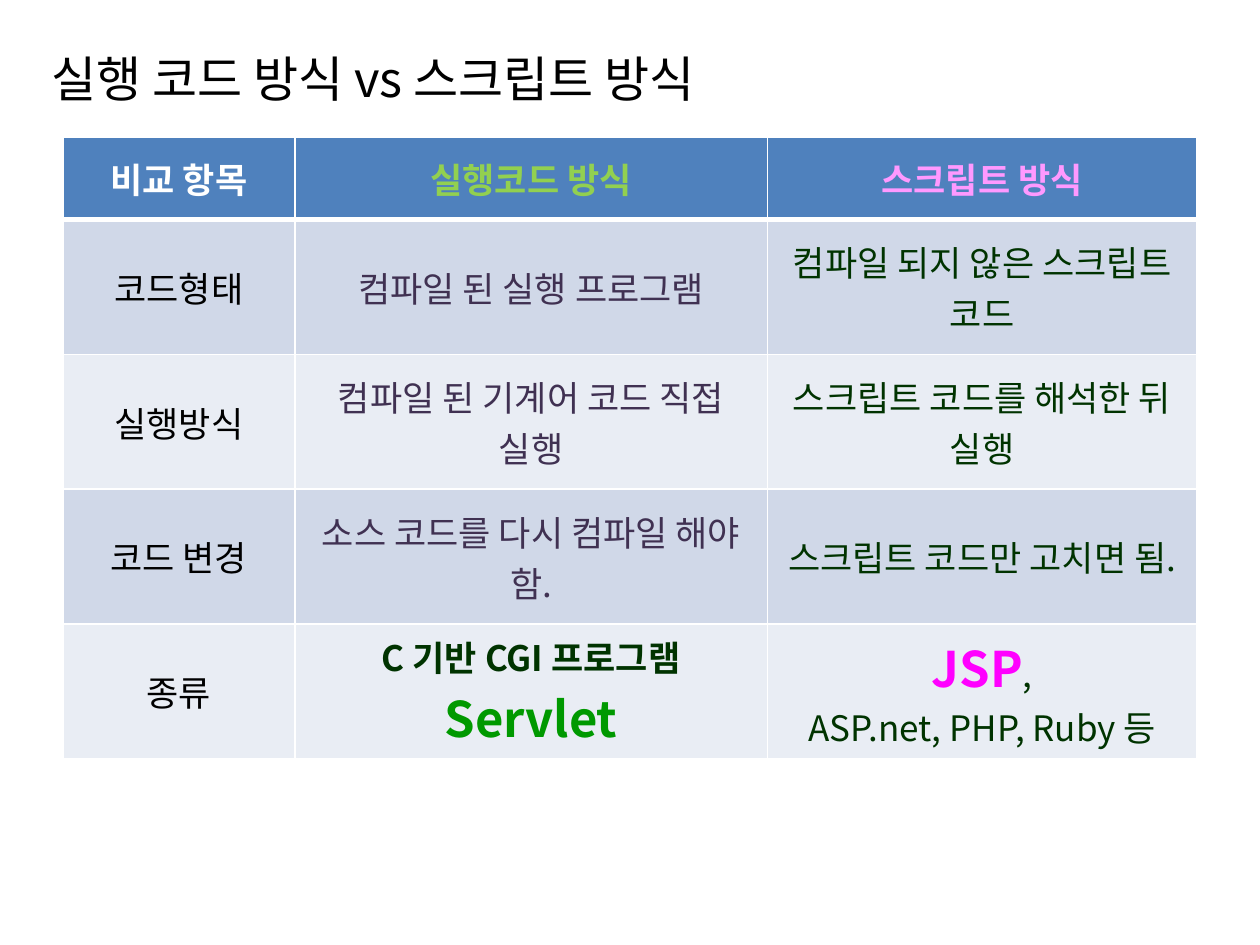
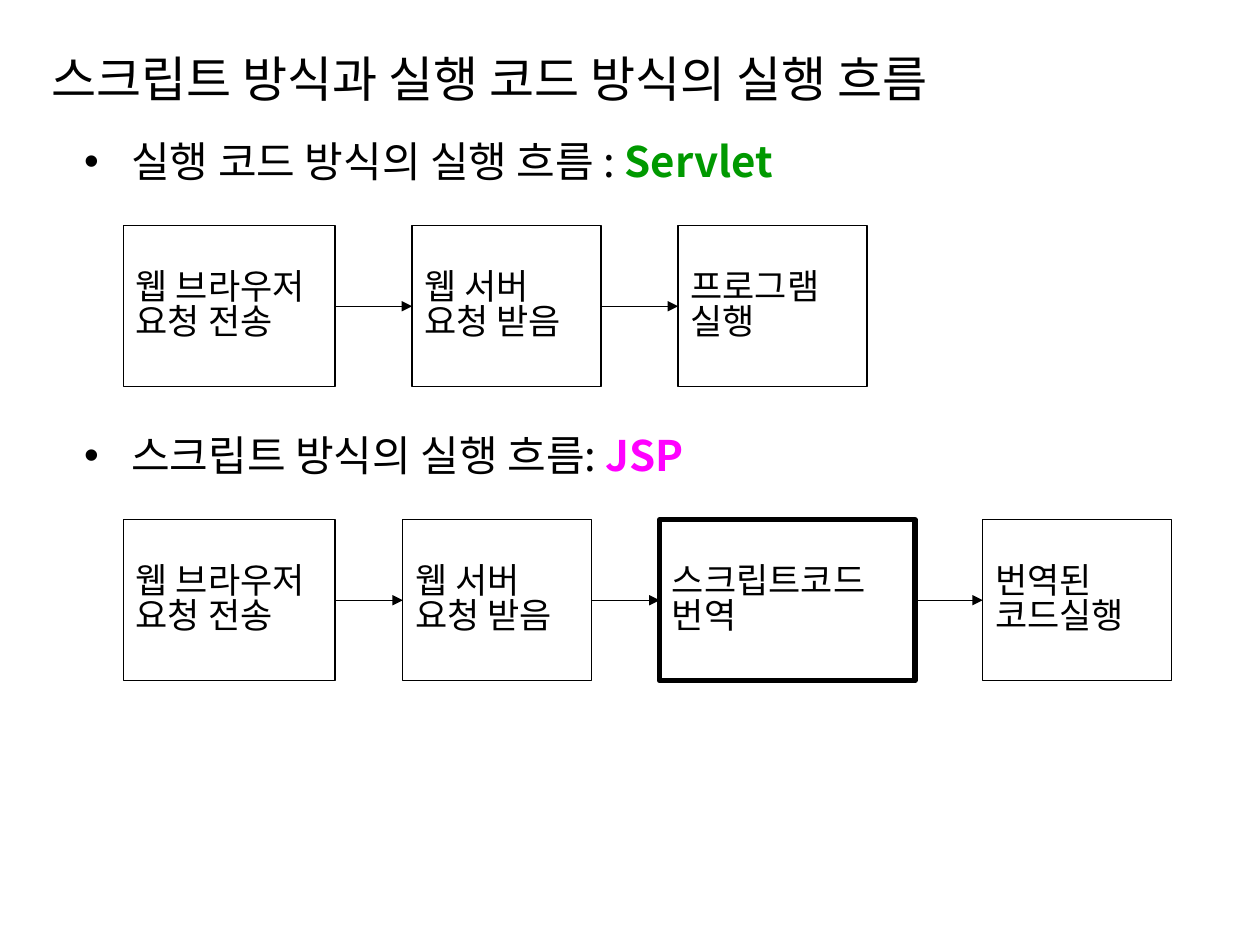
from pptx import Presentation
from pptx.dml.color import RGBColor
from pptx.enum.shapes import MSO_CONNECTOR as Link, MSO_SHAPE as Shape
from pptx.enum.text import MSO_ANCHOR as Anchor, PP_ALIGN as Align
from pptx.oxml.ns import qn
from pptx.util import Pt
from lxml.etree import SubElement as sub

FONT = "Noto Sans CJK KR"
TIGHT = 0.83
HUES = {
    "black": "000000", "white": "FFFFFF", "head": "4F81BD",
    "odd": "D0D8E8", "even": "E9EDF4", "lime": "92D050", "rose": "FF99FF",
    "plum": "403152", "pine": "003300", "green": "009900", "pink": "FF00FF",
}

# A row is three cells, a cell is a list of lines, a line is a list of runs:
# (text, colour, size, bold)
HEAD = [("비교 항목", "white"), ("실행코드 방식", "lime"), ("스크립트 방식", "rose")]
BODY = [
    ("코드형태", "컴파일 된 실행 프로그램", "컴파일 되지 않은 스크립트 코드"),
    ("실행방식", "컴파일 된 기계어 코드 직접 실행", "스크립트 코드를 해석한 뒤 실행"),
    ("코드 변경", "소스 코드를 다시 컴파일 해야 함.", "스크립트 코드만 고치면 됨."),
]
KINDS = [
    [[("종류", "black", 20, False)]],
    [[("C 기반 CGI 프로그램", "pine", 20, True)],
     [("Servlet", "green", 28, True)]],
    [[("JSP", "pink", 28, True), (",", "pine", 20, False)],
     [("ASP.net, PHP, Ruby 등", "pine", 20, False)]],
]

# Each flow: top, gap, heading runs, steps (width, line weight, lines)
ASK = (121, 0.75, ("웹 브라우저", "요청 전송"))
GET = (108, 0.75, ("웹 서버", "요청 받음"))
FLOWS = [
    (79, 44, [("실행 코드 방식의 실행 흐름 : ", "black", 24, False),
              ("Servlet", "green", 24, True)],
     [ASK, GET, (108, 0.75, ("프로그램", "실행"))]),
    (247, 38.7, [("스크립트 방식의 실행 흐름: ", "black", 24, False),
                 ("JSP", "pink", 24, True)],
     [ASK, GET, (146, 3, ("스크립트코드", "번역")),
      (108, 0.75, ("번역된", "코드실행"))]),
]


def hue(name):
    return RGBColor.from_string(HUES[name])


def write(para, text, tone="black", size=20, bold=False):
    run = para.add_run()
    run.text = text
    font = run.font
    font.name, font.size, font.bold = FONT, Pt(size), bold
    font.color.rgb = hue(tone)
    sub(run._r.get_or_add_rPr(), qn("a:ea"), typeface=FONT)


def label(slide, x, y, w, h, anchor):
    frame = slide.shapes.add_textbox(Pt(x), Pt(y), Pt(w), Pt(h)).text_frame
    frame.word_wrap = True
    frame.vertical_anchor = anchor
    return frame.paragraphs[0]


def start(deck, title):
    """Add a blank slide with its title."""
    slide = deck.slides.add_slide(deck.slide_layouts[6])
    write(label(slide, 22.3, 21.6, 680, 46, Anchor.MIDDLE), title, size=28)
    return slide


def edge(cell, sides):
    """Draw white cell borders; sides maps a side letter to its weight."""
    props = cell._tc.get_or_add_tcPr()
    for side, wide in sides.items():
        line = sub(props, qn("a:ln" + side), w=str(Pt(wide)))
        sub(sub(line, qn("a:solidFill")), qn("a:srgbClr"), val=HUES["white"])


def fill(cell, lines, tone, sides):
    edge(cell, sides)
    cell.fill.solid()
    cell.fill.fore_color.rgb = hue(tone)
    cell.margin_left = cell.margin_right = Pt(5)
    cell.margin_top = cell.margin_bottom = 0
    cell.vertical_anchor = Anchor.MIDDLE
    para = cell.text_frame.paragraphs[0]
    para.alignment = Align.CENTER
    for i, line in enumerate(lines):
        if i:
            para.add_line_break()
        for run in line:
            write(para, *run)


def grid(slide, x, y, cols, rows):
    """Place the comparison table."""
    cells = [[[[(text, tone, 20, True)]] for text, tone in HEAD]]
    cells += [[[[(text, tone, 20, False)]]
               for text, tone in zip(row, ("black", "plum", "pine"))]
              for row in BODY]
    cells.append(KINDS)
    table = slide.shapes.add_table(len(rows), len(cols), Pt(x), Pt(y),
                                   Pt(sum(cols)), Pt(sum(rows))).table
    for col, wide in zip(table.columns, cols):
        col.width = Pt(wide)
    for r, tall in enumerate(rows):
        table.rows[r].height = Pt(tall)
        tone = "head" if r == 0 else ("even", "odd")[r % 2]
        sides = {"L": 1, "R": 1, "T": 3 if r == 1 else 1, "B": 1 if r else 3}
        for c, lines in enumerate(cells[r]):
            fill(table.cell(r, c), lines, tone, sides)


def point(slide, x, y, runs):
    """Place one bulleted heading."""
    para = label(slide, x, y, 648, 40, Anchor.TOP)
    para.line_spacing = TIGHT
    props = para._p.get_or_add_pPr()
    props.set("marL", str(Pt(27)))
    props.set("indent", str(Pt(-27)))
    sub(props, qn("a:buFont"), typeface="Arial")
    sub(props, qn("a:buChar"), char="•")
    for run in runs:
        write(para, *run)


def step(slide, x, y, w, h, wide, lines):
    box = slide.shapes.add_shape(Shape.RECTANGLE, Pt(x), Pt(y), Pt(w), Pt(h))
    box.shadow.inherit = False
    box.fill.solid()
    box.fill.fore_color.rgb = hue("white")
    box.line.color.rgb = hue("black")
    box.line.width = Pt(wide)
    frame = box.text_frame
    frame.word_wrap = True
    frame.vertical_anchor = Anchor.MIDDLE
    for i, text in enumerate(lines):
        para = frame.add_paragraph() if i else frame.paragraphs[0]
        para.alignment = Align.LEFT
        para.line_spacing = TIGHT
        write(para, text)
    return box


def arrow(slide, a, b):
    line = slide.shapes.add_connector(Link.STRAIGHT, 0, 0, 0, 0)
    line.begin_connect(a, 3)
    line.end_connect(b, 1)
    line.line.color.rgb = hue("black")
    line.line.width = Pt(0.75)
    sub(line.line._get_or_add_ln(), qn("a:tailEnd"), type="triangle")
    sub(line._element.spPr, qn("a:effectLst"))


def flow(slide, x, y, gap, runs, steps):
    """Place a heading and the chain of steps below it."""
    point(slide, x, y, runs)
    left, boxes = x + 29.5, []
    for w, wide, lines in steps:
        boxes.append(step(slide, left, y + 50, w, 92, wide, lines))
        left += w + gap
    for a, b in zip(boxes, boxes[1:]):
        arrow(slide, a, b)


def main():
    deck = Presentation()
    deck.slide_width, deck.slide_height = Pt(720), Pt(540)
    slide = start(deck, "실행 코드 방식 vs 스크립트 방식")
    grid(slide, 36, 78.5, [132.5, 270, 245.5], [47] + [77] * 4)
    slide = start(deck, "스크립트 방식과 실행 코드 방식의 실행 흐름")
    for y, gap, runs, steps in FLOWS:
        flow(slide, 41, y, gap, runs, steps)
    deck.save("out.pptx")


if __name__ == "__main__":
    main()
